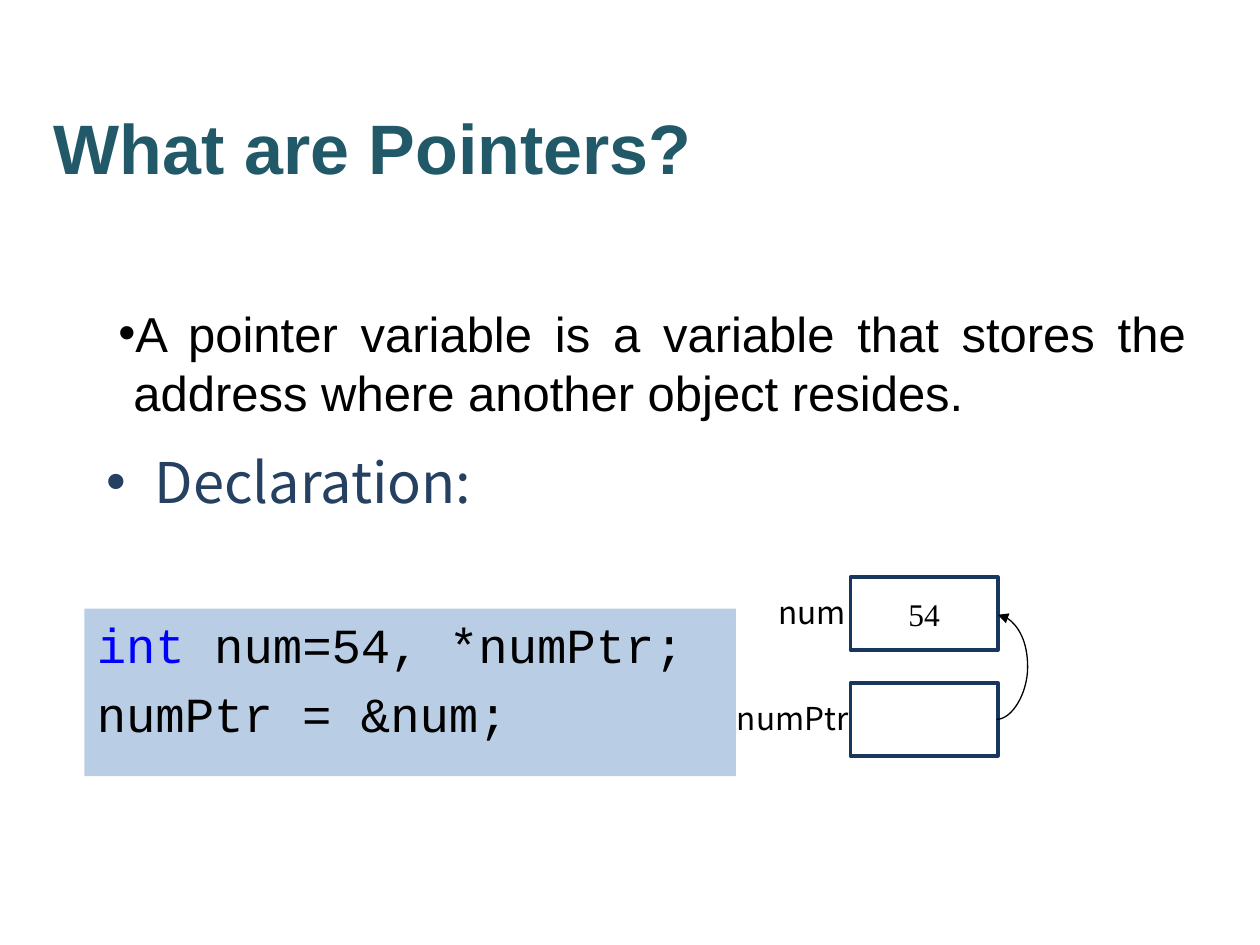
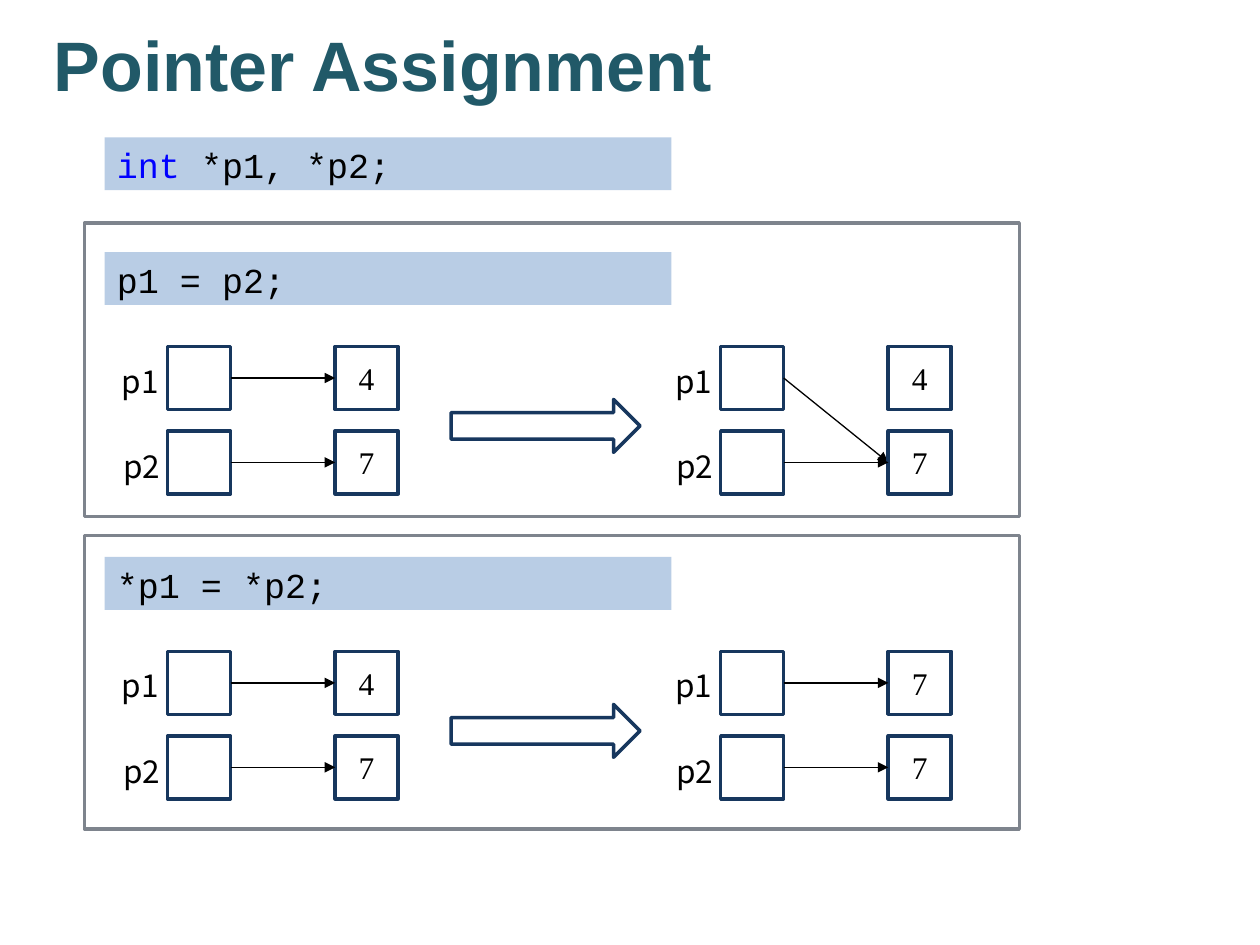
from pptx import Presentation
from pptx.dml.color import RGBColor
from pptx.enum import shapes, text
from pptx.oxml.ns import qn
from pptx.util import Inches, Pt
from lxml import etree

# Shared look
TITLE, BODY, HEADING = "215968", "000000", "254061"
CODE_FILL, KEYWORD, BOX_LINE, FRAME_LINE = "B9CDE5", "0000FF", "17375E", "7E848D"
SANS, MONO, SERIF, LABEL = "Arial", "Courier New", "Times New Roman", "Noto Sans CJK KR"
RECT, ARROW = shapes.MSO_SHAPE.RECTANGLE, shapes.MSO_SHAPE.RIGHT_ARROW
STRAIGHT, CURVE = shapes.MSO_CONNECTOR.STRAIGHT, shapes.MSO_CONNECTOR.CURVE
LEFT, CENTER, JUSTIFY = text.PP_ALIGN.LEFT, text.PP_ALIGN.CENTER, text.PP_ALIGN.JUSTIFY
TOP, MIDDLE = text.MSO_ANCHOR.TOP, text.MSO_ANCHOR.MIDDLE

# Slide 1 content
DEFINITION = ("A pointer variable is a variable that stores the address "
              "where another object resides.")
DECLARATION = [("int", " num=54, *numPtr;"), ("", "numPtr = &num;")]
# variable name, value, label left, label width, box top
VARIABLES = [("num", "54", 6.08, 0.75, 4.58), ("numPtr", "", 5.75, 1.17, 5.42)]

# Slide 2 content: the values pointed at, and the row each pointer aims for
ASSIGNMENTS = [
    {"code": "p1 = p2;", "frame_top": 1.77, "code_top": 2,
     "before": ("47", (0, 1)), "after": ("47", (1, 1))},
    {"code": "*p1 = *p2;", "frame_top": 4.25, "code_top": 4.42,
     "before": ("47", (0, 1)), "after": ("77", (0, 1))},
]
POINTERS = ("p1", "p2")
BEFORE_LEFT, AFTER_LEFT = 1.33, 5.72
CELL, ROW_STEP, VALUE_STEP = 0.5, 0.67, 1.33


def rgb(color):
    """Turn a hex string into a colour."""
    return RGBColor.from_string(color)


def write(shape, lines, font, size, color=BODY, align=LEFT, anchor=TOP,
          bold=False, space=0, bullet_indent=0, margins=(0.1, 0.1)):
    """Fill a shape with lines, each a (keyword, rest) pair."""
    frame = shape.text_frame
    frame.word_wrap, frame.vertical_anchor = True, anchor
    frame.margin_left, frame.margin_right = map(Inches, margins)
    for i, (keyword, rest) in enumerate(lines):
        line = frame.add_paragraph() if i else frame.paragraphs[0]
        line.alignment = align
        if space:
            line.space_before = Pt(size * space)
        if bullet_indent:
            props = line._p.get_or_add_pPr()
            props.set("marL", str(Inches(bullet_indent)))
            props.set("indent", str(-Inches(bullet_indent)))
            etree.SubElement(props, qn("a:buFont")).set("typeface", SANS)
            etree.SubElement(props, qn("a:buChar")).set("char", "•")
        line.font.name, line.font.size, line.font.bold = font, Pt(size), bold
        line.font.color.rgb = rgb(color)
        if keyword:
            run = line.add_run()
            run.text = keyword
            run.font.color.rgb = rgb(KEYWORD)
        line.add_run().text = rest


def add_text(slide, place, words, *style, **options):
    """Add a one-paragraph text box."""
    box = slide.shapes.add_textbox(*map(Inches, place))
    write(box, [("", words)], *style, **options)


def add_shape(slide, place, kind=RECT, fill=None, line=None):
    """Add a flat preset shape."""
    shape = slide.shapes.add_shape(kind, *map(Inches, place))
    shape.shadow.inherit = False
    if fill:
        shape.fill.solid()
        shape.fill.fore_color.rgb = rgb(fill)
    else:
        shape.fill.background()
    if line:
        shape.line.color.rgb, shape.line.width = rgb(line), Pt(2)
    else:
        shape.line.fill.background()
    return shape


def add_cell(slide, place, value=""):
    """Add a memory cell with its value, if it shows one."""
    cell = add_shape(slide, place, line=BOX_LINE)
    if value:
        write(cell, [("", value)], SERIF, 18, align=CENTER, anchor=MIDDLE)


def add_label(slide, left, top, width, name):
    """Add the name beside a memory cell."""
    add_text(slide, (left, top, width, 0.42), name, LABEL, 18, margins=(0.1, 0))


def add_code(slide, place, lines, size):
    """Add a tinted band of code."""
    write(add_shape(slide, place, fill=CODE_FILL), lines, MONO, size,
          align=JUSTIFY, space=0.2)


def add_pointer(slide, start, end, kind=STRAIGHT, bulge=None):
    """Add an arrow; bulge is the curve's reach as a multiple of its width."""
    arrow = slide.shapes.add_connector(kind, *map(Inches, start + end))
    arrow.line.color.rgb, arrow.line.width = rgb(BODY), Pt(0.75)
    props = arrow._element.spPr
    etree.SubElement(arrow.line._get_or_add_ln(), qn("a:tailEnd")).set("type", "triangle")
    etree.SubElement(props, qn("a:effectLst"))
    if bulge:
        guide = etree.SubElement(props.prstGeom.get_or_add_avLst(), qn("a:gd"))
        guide.set("name", "adj1")
        guide.set("fmla", f"val {bulge * 100000}")


def add_slide(deck, title, title_top):
    """Add a blank slide with the shared title style."""
    slide = deck.slides.add_slide(deck.slide_layouts[6])
    add_text(slide, (0.33, title_top, 7.83, 1.17), title, SANS, 40, TITLE,
             anchor=MIDDLE, bold=True)
    return slide


def add_memory(slide, left, top, values, targets):
    """Draw both pointers, the values, and the arrows between them."""
    value_left = left + VALUE_STEP
    for row, (name, value, target) in enumerate(zip(POINTERS, values, targets)):
        y = top + row * ROW_STEP
        add_cell(slide, (left, y, CELL, CELL))
        add_label(slide, left - 0.46 + row * 0.01, y + 0.07 + row * 0.01, CELL, name)
        add_cell(slide, (value_left, y, CELL, CELL), value)
        add_pointer(slide, (left + CELL, y + CELL / 2),
                    (value_left, top + target * ROW_STEP + CELL / 2))


def build_definition(deck):
    """Build the slide on what pointers are."""
    slide = add_slide(deck, "What are Pointers?", 0.58)
    add_text(slide, (0.51, 2.36, 9, 3.94), DEFINITION, SANS, 28, align=JUSTIFY,
             space=0.2, bullet_indent=0.12, margins=(0.43, 0.1))
    add_text(slide, (0.75, 3.5, 6.08, 0.67), "Declaration:", LABEL, 32, HEADING,
             align=JUSTIFY, space=0.2, bullet_indent=0.38)
    for name, value, left, width, top in VARIABLES:
        add_cell(slide, (6.75, top, 1.17, 0.58), value)
        add_label(slide, left, top + 0.08, width, name)
    add_pointer(slide, (7.91, 5.71), (7.92, 4.88), CURVE, bulge=25)
    add_code(slide, (0.67, 4.83, 5.17, 1.33), DECLARATION, 28)


def build_assignment(deck):
    """Build the slide on pointer assignment."""
    slide = add_slide(deck, "Pointer Assignment", -0.08)
    add_code(slide, (0.83, 1.09, 4.5, 0.42), [("int", " *p1, *p2;")], 20)
    for case in ASSIGNMENTS:
        top = case["code_top"]
        add_shape(slide, (0.67, case["frame_top"], 7.42, 2.33), line=FRAME_LINE)
        add_code(slide, (0.83, top, 4.5, 0.42), [("", case["code"])], 20)
        add_memory(slide, BEFORE_LEFT, top + 0.75, *case["before"])
        add_memory(slide, AFTER_LEFT, top + 0.75, *case["after"])
        add_shape(slide, (3.58, top + 1.17, 1.5, 0.42), ARROW, line=BOX_LINE)


deck = Presentation()
deck.slide_width, deck.slide_height = Inches(10), Inches(7.5)
build_definition(deck)
build_assignment(deck)
deck.save("out.pptx")
